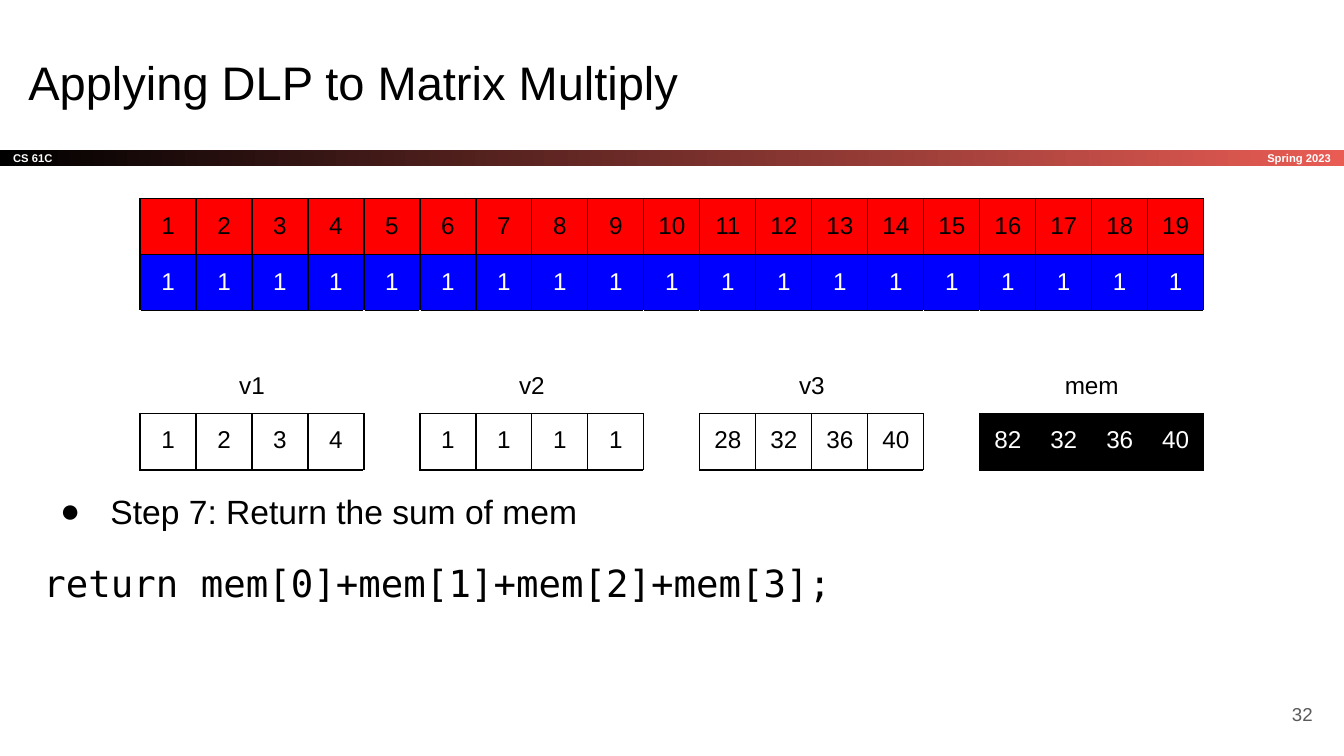
import dataclasses

import lxml.etree
import pptx
import pptx.dml.color
import pptx.enum.shapes
import pptx.enum.text
import pptx.oxml.ns
import pptx.util

Pt = pptx.util.Pt
qn = pptx.oxml.ns.qn
Align = pptx.enum.text.PP_ALIGN
Anchor = pptx.enum.text.MSO_ANCHOR

INSET = 7.2
CELL = 30
LABEL_ROW = 55
LANES = 4


@dataclasses.dataclass(frozen=True)
class Theme:
    font: str = "Arial"
    code_font: str = "DejaVu Sans Mono"
    black: str = "000000"
    white: str = "FFFFFF"
    red: str = "FF0000"
    blue: str = "0000FF"
    coral: str = "E85C54"
    grey: str = "595959"
    title_size: float = 25.2
    step_size: float = 18
    code_size: float = 20
    cell_size: float = 13
    footer_size: float = 10
    bar_size: float = 6
    border: float = 0.75


THEME = Theme()


def rgb(color):
    return pptx.dml.color.RGBColor.from_string(color)


def write(paragraph, text, size, color=THEME.black, font=THEME.font,
          bold=False, align=Align.LEFT, line=1.0, before=0, after=0):
    paragraph.alignment = align
    paragraph.line_spacing = line
    paragraph.space_before = Pt(before)
    paragraph.space_after = Pt(after)
    if not text:
        # An empty paragraph takes its height from its end mark.
        lxml.etree.SubElement(paragraph._p, qn("a:endParaRPr"), sz=str(int(size * 100)))
        return
    run = paragraph.add_run()
    run.text = text
    run.font.size = Pt(size)
    run.font.name = font
    run.font.bold = bold
    run.font.color.rgb = rgb(color)


def set_bullet(paragraph, char=None, left=0, indent=0):
    properties = paragraph._p.get_or_add_pPr()
    properties.set("marL", str(Pt(left)))
    properties.set("indent", str(Pt(indent)))
    if char is None:
        lxml.etree.SubElement(properties, qn("a:buNone"))
        return
    color = lxml.etree.SubElement(properties, qn("a:buClr"))
    lxml.etree.SubElement(color, qn("a:srgbClr"), val=THEME.black)
    lxml.etree.SubElement(properties, qn("a:buFont"), typeface=THEME.font)
    lxml.etree.SubElement(properties, qn("a:buChar"), char=char)


def set_borders(cell, sides, ends):
    """Colour the left and right edges as sides, and (top, bottom) as ends."""
    properties = cell._tc.get_or_add_tcPr()
    for edge, color in zip("LRTB", (sides, sides, *ends)):
        line = lxml.etree.SubElement(properties, qn(f"a:ln{edge}"), w=str(Pt(THEME.border)))
        fill = lxml.etree.SubElement(line, qn("a:solidFill"))
        lxml.etree.SubElement(fill, qn("a:srgbClr"), val=color)


class SlideBuilder:
    def __init__(self, slide, theme):
        self.slide = slide
        self.theme = theme

    def frame(self, shape, anchor):
        text_frame = shape.text_frame
        text_frame.word_wrap = True
        text_frame.auto_size = pptx.enum.text.MSO_AUTO_SIZE.NONE
        text_frame.vertical_anchor = anchor
        text_frame.margin_left = text_frame.margin_right = Pt(INSET)
        text_frame.margin_top = text_frame.margin_bottom = Pt(INSET)
        return text_frame

    def placeholder(self, index, left, top, width, height):
        holder = self.slide.placeholders[index]
        holder.left, holder.top = Pt(left), Pt(top)
        holder.width, holder.height = Pt(width), Pt(height)
        return self.frame(holder, Anchor.TOP)

    def title(self, text, box):
        write(self.placeholder(0, *box).paragraphs[0], text, self.theme.title_size)

    def body(self, step, code, box):
        text_frame = self.placeholder(1, *box)
        step_line = text_frame.paragraphs[0]
        write(step_line, step, self.theme.step_size, line=1.15)
        set_bullet(step_line, "●", left=36, indent=-27)
        code_line = text_frame.add_paragraph()
        write(code_line, code, self.theme.code_size, font=self.theme.code_font,
              line=1.15, before=12, after=12)
        set_bullet(code_line)

    def gradient_bar(self, text, box, **style):
        bar = self.slide.shapes.add_shape(
            pptx.enum.shapes.MSO_SHAPE.RECTANGLE, *map(Pt, box))
        bar.shadow.inherit = False
        bar.line.fill.background()
        bar.fill.gradient()
        bar.fill.gradient_angle = 0
        for stop, color in zip(bar.fill.gradient_stops, (self.theme.black, self.theme.coral)):
            stop.color.rgb = rgb(color)
        write(self.frame(bar, Anchor.MIDDLE).paragraphs[0], text, **style)

    def label(self, text, box, **style):
        text_box = self.slide.shapes.add_textbox(*map(Pt, box))
        write(self.frame(text_box, Anchor.MIDDLE).paragraphs[0], text, **style)

    def cell(self, cell, text, fill, color, sides, ends, anchor=Anchor.TOP):
        cell.margin_left = cell.margin_right = Pt(INSET)
        cell.margin_top = cell.margin_bottom = Pt(INSET)
        cell.vertical_anchor = anchor
        write(cell.text_frame.paragraphs[0], text, self.theme.cell_size, color,
              align=Align.CENTER)
        set_borders(cell, sides, ends)
        cell.fill.solid()
        cell.fill.fore_color.rgb = rgb(fill)

    def vector_table(self, left, top, arrays, registers):
        """Draw full-width arrays above named registers, one blank column apart."""
        black, white = self.theme.black, self.theme.white
        columns = len(arrays[0][0])
        heights = [CELL] * len(arrays) + [LABEL_ROW, CELL]
        table = self.slide.shapes.add_table(
            len(heights), columns, Pt(left), Pt(top),
            Pt(columns * CELL), Pt(sum(heights))).table
        table.first_row = table.horz_banding = False
        for column in table.columns:
            column.width = Pt(CELL)
        for row, height in zip(table.rows, heights):
            row.height = Pt(height)

        for row, (values, fill, color) in enumerate(arrays):
            for column, value in enumerate(values):
                self.cell(table.cell(row, column), str(value), fill, color,
                          black, (black, black))

        name_row, value_row = len(arrays), len(arrays) + 1
        for index, (name, values, fill, color) in enumerate(registers):
            start = index * (LANES + 1)
            for lane, value in enumerate(values):
                self.cell(table.cell(name_row, start + lane), "" if lane else name,
                          white, black, white, (black, black), Anchor.BOTTOM)
                self.cell(table.cell(value_row, start + lane), str(value),
                          fill, color, black, (black, black))
            table.cell(name_row, start).merge(table.cell(name_row, start + LANES - 1))
            gap = start + LANES
            if gap < columns:
                self.cell(table.cell(name_row, gap), "", white, black, white, (black, white))
                self.cell(table.cell(value_row, gap), "", white, black, black, (white, white))


def main():
    deck = pptx.Presentation()
    deck.slide_width, deck.slide_height = Pt(720), Pt(405)
    page = SlideBuilder(deck.slides.add_slide(deck.slide_layouts[1]), THEME)
    black, white = THEME.black, THEME.white

    bar_style = dict(size=THEME.bar_size, color=white, bold=True)
    page.gradient_bar("CS 61C", (0, 80.2, 720, 8.6), **bar_style)
    page.label("Spring 2023", (600, 80.2, 120, 8.6), align=Align.RIGHT, **bar_style)
    page.title("Applying DLP to Matrix Multiply", (8, 21.6, 671, 45.4))
    page.body("Step 7: Return the sum of mem", "return mem[0]+mem[1]+mem[2]+mem[3];",
              (16, 252.7, 671, 141.8))
    page.vector_table(
        75, 106.5,
        arrays=[(range(1, 20), THEME.red, black), ([1] * 19, THEME.blue, white)],
        registers=[
            ("v1", (1, 2, 3, 4), white, black),
            ("v2", (1, 1, 1, 1), white, black),
            ("v3", (28, 32, 36, 40), white, black),
            ("mem", (82, 32, 36, 40), black, white),
        ])
    page.label("32", (667.1, 367.2, 43.2, 31), size=THEME.footer_size,
               color=THEME.grey, align=Align.RIGHT)
    deck.save("out.pptx")


if __name__ == "__main__":
    main()
